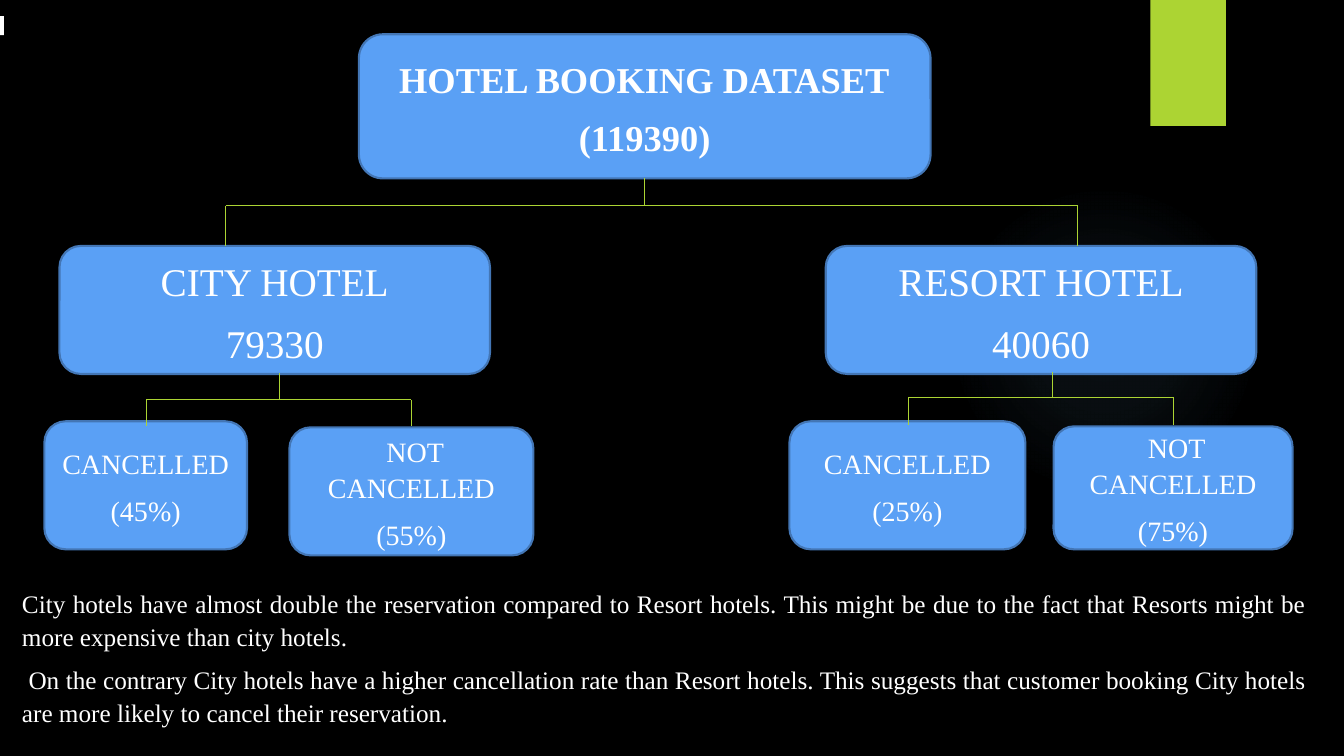
"""Build the hotel booking breakdown slide as a tree with two closing remarks."""
from lxml import etree
from pptx import Presentation
from pptx.dml.color import RGBColor
from pptx.enum.shapes import MSO_CONNECTOR as Connector, MSO_SHAPE as Preset
from pptx.enum.text import MSO_ANCHOR as Anchor, MSO_AUTO_SIZE as AutoSize, PP_ALIGN as Align
from pptx.oxml import parse_xml
from pptx.oxml.ns import nsdecls, qn
from pptx.util import Inches, Pt

COLUMNS, ROWS = 40, 22.5
CELL = Inches(1) / 3
color = RGBColor.from_string
GREEN, BLUE, EDGE, WHITE, GLOW = "ACD433", "5AA0F5", "4376B5", "FFFFFF", "7AC4F0"

deck = Presentation()
deck.slide_width = Inches(13.33)
deck.slide_height = round(ROWS * CELL)
slide = deck.slides.add_slide(deck.slide_layouts[6])
slide.background.fill.solid()
slide.background.fill.fore_color.rgb = color("000000")


def add_panel(preset, cells, fill, edge=None):
    panel = slide.shapes.add_shape(preset, *(round(cell * CELL) for cell in cells))
    panel.shadow.inherit = False
    panel.fill.solid()
    panel.fill.fore_color.rgb = color(fill)
    if edge:
        panel.line.color.rgb = color(edge)
        panel.line.width = Pt(1.5)
    else:
        panel.line.fill.background()
    return panel


def write(frame, lines, size, align, bold=False):
    frame.word_wrap = True
    paragraph_format = {"alignment": align, "line_spacing": 1.07, "space_after": Pt(8)}
    font_format = {"name": "Times New Roman", "size": Pt(size), "bold": bold}
    for index, line in enumerate(lines):
        paragraph = frame.paragraphs[0] if index == 0 else frame.add_paragraph()
        run = paragraph.add_run()
        run.text = line
        for target, values in ((paragraph, paragraph_format), (run.font, font_format)):
            for attribute, value in values.items():
                setattr(target, attribute, value)
        run.font.color.rgb = color(WHITE)


glow = add_panel(Preset.OVAL, (28.23, 5.49, 9.24, 9.24), GLOW)
stops = "".join(
    f'<a:gs pos="{position}000"><a:srgbClr val="{GLOW}"><a:alpha val="{alpha}000"/></a:srgbClr></a:gs>'
    for position, alpha in ((0, 7), (36, 6), (69, 0))
)
solid_fill = glow.fill._xPr.find(qn("a:solidFill"))
solid_fill.getparent().replace(solid_fill, parse_xml(
    f'<a:gradFill {nsdecls("a")}><a:gsLst>{stops}</a:gsLst><a:path path="circle">'
    '<a:fillToRect l="50000" t="50000" r="50000" b="50000"/></a:path></a:gradFill>'
))
add_panel(Preset.RECTANGLE, (34.23, 0, 2.25, 3.75), GREEN)

tree = [
    ((10.68, 1.02, 17.01, 4.29), ("HOTEL BOOKING DATASET", "(119390)"), 26),
    ((1.77, 7.32, 12.81, 3.81), ("CITY HOTEL", "79330"), 28),
    ((24.57, 7.32, 12.81, 3.81), ("RESORT HOTEL", "40060"), 28),
    ((1.32, 12.54, 6.03, 3.81), ("CANCELLED", "(45%)"), 20),
    ((8.61, 12.72, 7.26, 3.81), (" NOT CANCELLED", "(55%)"), 20),
    ((23.49, 12.54, 7.02, 3.81), ("CANCELLED", "(25%)"), 20),
    ((31.35, 12.69, 7.11, 3.66), (" NOT CANCELLED", "(75%)"), 20),
]
for level, (cells, lines, size) in enumerate(tree):
    node = add_panel(Preset.ROUNDED_RECTANGLE, cells, BLUE, EDGE)
    node.text_frame.vertical_anchor = Anchor.MIDDLE
    write(node.text_frame, lines, size, Align.CENTER, bold=level == 0)

add_panel(Preset.RECTANGLE, (0, 0.48, 0.12, 0.57), WHITE)

forks = [
    (6.72, 19.17, 32.07, 5.31, 6.12, 7.32),
    (4.35, 8.31, 12.24, 11.1, 11.9, 12.69),
    (27.03, 31.32, 34.92, 11.07, 11.84, 12.65),
]
for left, stem, right, top, bar, bottom in forks:
    for ends in (
        (stem, top, stem, bar),
        (left, bar, right, bar),
        (left, bar, left, bottom),
        (right, bar, right, bottom),
    ):
        branch = slide.shapes.add_connector(Connector.STRAIGHT, *(round(end * CELL) for end in ends))
        branch.line.color.rgb = color(GREEN)
        branch.line.width = Pt(0.75)
        etree.SubElement(branch._element.spPr, qn("a:effectLst"))

remarks = slide.shapes.add_textbox(*(round(cell * CELL) for cell in (0.36, 17.31, 38.82, 4.53)))
remarks.text_frame.auto_size = AutoSize.SHAPE_TO_FIT_TEXT
write(remarks.text_frame, (
    "City hotels have almost double the reservation compared to Resort hotels. "
    "This might be due to the fact that Resorts might be more expensive than city hotels.",
    " On the contrary City hotels have a higher cancellation rate than Resort hotels. "
    "This suggests that customer booking City hotels are more likely to cancel their reservation.",
), 18, Align.JUSTIFY)

deck.save("out.pptx")
